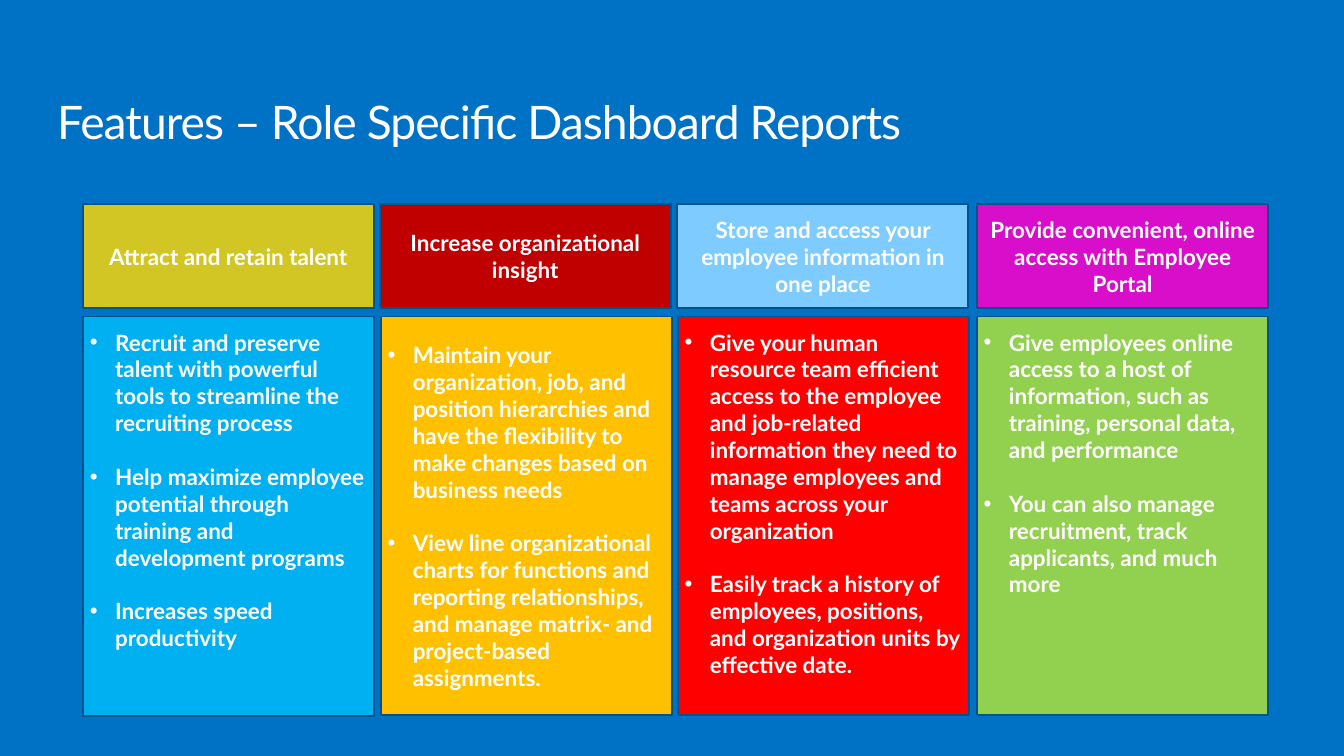
from pptx import Presentation, util as u
from pptx.dml.color import RGBColor
from pptx.enum import shapes, text
from lxml import etree

Pt = u.Pt


def color(value):
    return RGBColor.from_string(value)


def write(tf, content, size=24, bold=True, align=text.PP_ALIGN.LEFT, bullet=False,
          gap=0, line=None, spacing=None, first=False):
    p = tf.paragraphs[0] if first else tf.add_paragraph()
    p.alignment = align
    p.space_before = Pt(0 if first else gap)
    if line:
        p.line_spacing = line
    if bullet:
        pPr = p._p.get_or_add_pPr()
        pPr.set("marL", str(Pt(27)))
        pPr.set("indent", str(-Pt(27)))
        ns = "{http://schemas.openxmlformats.org/drawingml/2006/main}"
        etree.SubElement(pPr, ns + "buFont").set("typeface", "Arial")
        etree.SubElement(pPr, ns + "buChar").set("char", "•")
    r = p.add_run()
    r.text = content
    r.font.name = "Lato"
    r.font.size = Pt(size)
    r.font.bold = bold
    r.font.color.rgb = color("FFFFFF")
    if spacing:
        r._r.get_or_add_rPr().set("spc", str(spacing))


prs = Presentation()
prs.slide_width, prs.slide_height = Pt(1440), Pt(810)
s = prs.slides.add_slide(prs.slide_layouts[6])
s.background.fill.solid()
s.background.fill.fore_color.rgb = color("0072C6")

title = s.shapes.add_textbox(Pt(61.2), Pt(106.6), Pt(1316.9), Pt(54))
tf = title.text_frame
tf.word_wrap = True
tf.margin_left = tf.margin_right = tf.margin_top = tf.margin_bottom = 0
write(tf, "Features – Role Specific Dashboard Reports", size=49.5, bold=False,
      line=0.9, spacing=-100, first=True)

columns = [
    (88.6, 89.3, 428.4, 13, "D2C624", "00B0F0", "Attract and retain talent",
     ["Recruit and preserve talent with powerful tools to streamline the recruiting process",
      "Help maximize employee potential through training and development programs",
      "Increases speed productivity"]),
    (406.8, 408.2, 427, 26.5, "C00000", "FFC000", "Increase organizational insight",
     ["Maintain your organization, job, and position hierarchies and have the flexibility "
      "to make changes based on business needs",
      "View line organizational charts for functions and reporting relationships, "
      "and manage matrix- and project-based assignments."]),
    (725.8, 726.5, 427, 13, "7ECCFF", "FF0000",
     "Store and access your employee information in one place",
     ["Give your human resource team efficient access to the employee and job-related "
      "information they need to manage employees and teams across your organization",
      "Easily track a history of employees, positions, and organization units "
      "by effective date."]),
    (1046.9, 1046.9, 427, 13, "D80ECA", "92D050",
     "Provide convenient, online access with Employee Portal",
     ["Give employees online access to a host of information, such as training, "
      "personal data, and performance",
      "You can also manage recruitment, track applicants, and much more"]),
]

for head_left, body_left, body_height, inset, head_fill, body_fill, heading, points in columns:
    for left, top, height, fill in ((head_left, 218.8, 111.6, head_fill),
                                    (body_left, 339.1, body_height, body_fill)):
        sp = s.shapes.add_shape(shapes.MSO_SHAPE.RECTANGLE, Pt(left), Pt(top),
                                Pt(311.8), Pt(height))
        sp.shadow.inherit = False
        sp.fill.solid()
        sp.fill.fore_color.rgb = color(fill)
        sp.line.color.rgb = color("00548B")
        sp.line.width = Pt(2)
        tf = sp.text_frame
        tf.word_wrap = True
        if fill == head_fill:
            tf.vertical_anchor = text.MSO_ANCHOR.MIDDLE
            write(tf, heading, align=text.PP_ALIGN.CENTER, first=True)
        else:
            tf.vertical_anchor = text.MSO_ANCHOR.TOP
            tf.margin_top = Pt(inset)
            for i, point in enumerate(points):
                write(tf, point, bullet=True, gap=28.8, first=i == 0)

prs.save("out.pptx")
